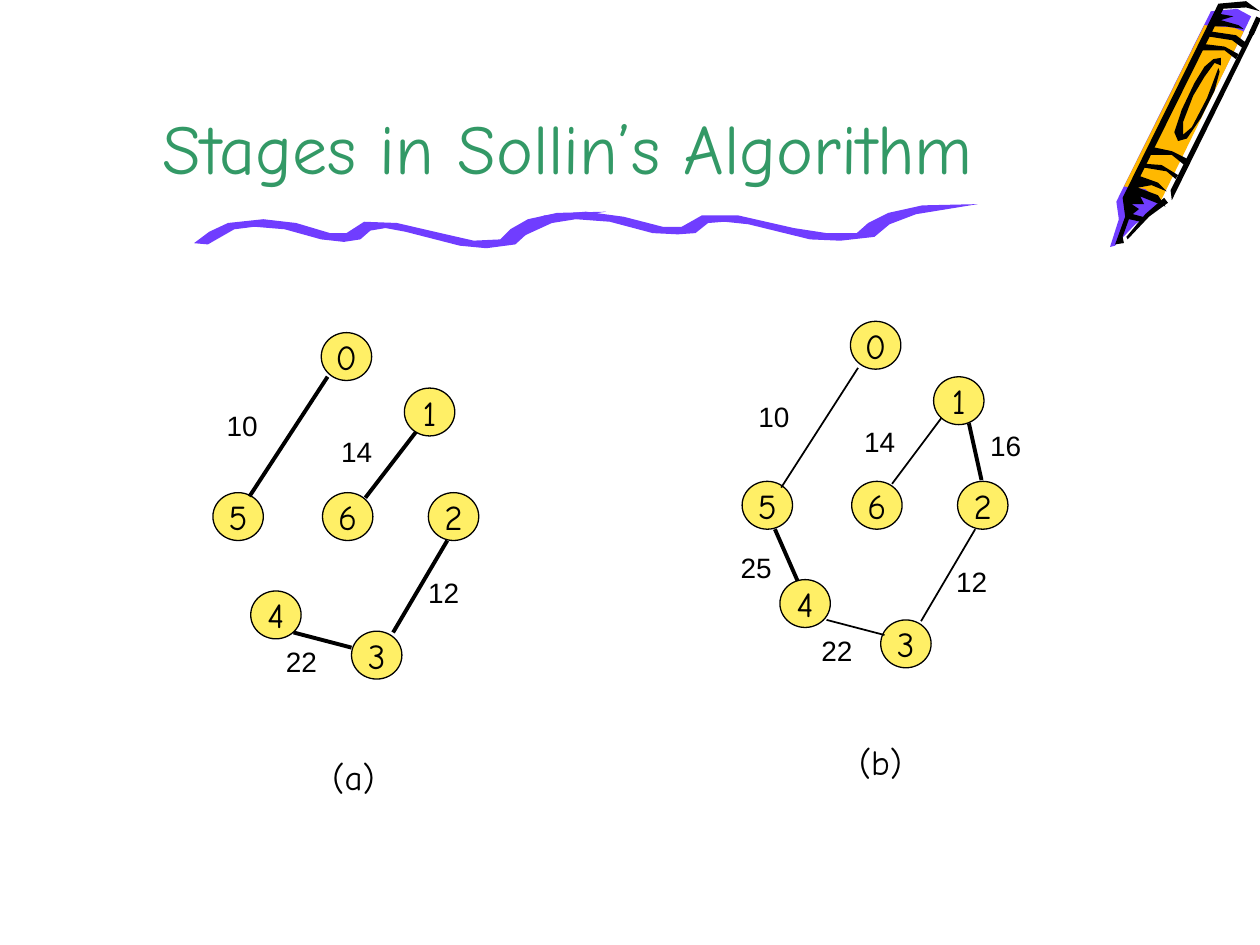
"""Build the slide on the stages of Sollin's algorithm."""
from dataclasses import dataclass

from lxml import etree
from pptx import Presentation
from pptx.dml.color import RGBColor
from pptx.enum.shapes import MSO_CONNECTOR, MSO_SHAPE
from pptx.enum.text import MSO_ANCHOR, MSO_AUTO_SIZE, PP_ALIGN
from pptx.oxml.ns import qn
from pptx.util import Inches, Pt

STRAIGHT = MSO_CONNECTOR.STRAIGHT
OVAL = MSO_SHAPE.OVAL
BOTTOM, MIDDLE, TOP = MSO_ANCHOR.BOTTOM, MSO_ANCHOR.MIDDLE, MSO_ANCHOR.TOP
CENTER, LEFT = PP_ALIGN.CENTER, PP_ALIGN.LEFT
NO_FIT = MSO_AUTO_SIZE.NONE
COLUMNS, ROWS = 100, 75


@dataclass(frozen=True)
class Theme:
    """Colours, fonts and sizes of the slide."""
    ink: str = "000000"
    title: str = "339966"
    violet: str = "703DFF"
    amber: str = "FFB800"
    node: str = "FFEF66"
    hand: str = "Comic Neue"
    plain: str = "Arial"
    title_size: float = 40
    node_size: float = 20
    weight_size: float = 16
    outline: float = 0.75
    thin: float = 1
    bold: float = 2.25
    crayon: float = 3


class Board:
    """Draws elements on one slide, measured in grid columns and rows."""

    def __init__(self, prs, theme):
        """Add a title-only slide to the presentation."""
        self.theme = theme
        self.slide = prs.slides.add_slide(prs.slide_layouts[5])
        self.shapes = self.slide.shapes
        self.col = prs.slide_width / COLUMNS
        self.row = prs.slide_height / ROWS

    def emu(self, x, y):
        """Turn a grid position into slide units."""
        return round(x * self.col), round(y * self.row)

    def set_text(self, sp, text, font, size, color, align=LEFT, anchor=TOP, wrap=True):
        """Put one formatted paragraph into a shape."""
        tf = sp.text_frame
        tf.auto_size = NO_FIT
        tf.word_wrap = wrap
        tf.vertical_anchor = anchor
        p = tf.paragraphs[0]
        p.text = text
        p.alignment = align
        p.font.name, p.font.size = font, Pt(size)
        p.font.color.rgb = RGBColor.from_string(color)

    def title(self, text, x, y, w, h):
        """Place and fill the title placeholder."""
        t, sp = self.theme, self.shapes.title
        sp.left, sp.top = self.emu(x, y)
        sp.width, sp.height = self.emu(w, h)
        self.set_text(sp, text, t.hand, t.title_size, t.title, CENTER, BOTTOM)

    def outline(self, points, color):
        """Draw a filled polygon."""
        start, *rest = [self.emu(*point) for point in points]
        builder = self.shapes.build_freeform(*start, scale=1.0)
        builder.add_line_segments(rest, close=True)
        sp = builder.convert_to_shape()
        sp.shadow.inherit = False
        sp.fill.solid()
        sp.fill.fore_color.rgb = RGBColor.from_string(color)
        sp.line.fill.background()

    def line(self, start, end, width):
        """Draw a straight line."""
        cx = self.shapes.add_connector(STRAIGHT, *self.emu(*start), *self.emu(*end))
        cx.line.width = Pt(width)
        cx.line.color.rgb = RGBColor.from_string(self.theme.ink)
        etree.SubElement(cx._element.spPr, qn("a:effectLst"))

    def node(self, text, x, y):
        """Draw a numbered vertex."""
        t = self.theme
        sp = self.shapes.add_shape(OVAL, *self.emu(x, y), *self.emu(4, 3.8))
        sp.shadow.inherit = False
        sp.fill.solid()
        sp.fill.fore_color.rgb = RGBColor.from_string(t.node)
        sp.line.color.rgb = RGBColor.from_string(t.ink)
        sp.line.width = Pt(t.outline)
        self.set_text(sp, text, t.hand, t.node_size, t.ink, CENTER, MIDDLE, False)

    def label(self, text, x, y, w, h, font, size):
        """Add a text box."""
        sp = self.shapes.add_textbox(*self.emu(x, y), *self.emu(w, h))
        self.set_text(sp, text, font, size, self.theme.ink)

    def stage(self, stage):
        """Draw one stage: edges, vertices, weights and caption."""
        t = self.theme
        x0, y0 = stage["origin"]
        for number, (dx, dy) in enumerate(NODES):
            self.node(str(number), x0 + dx, y0 + dy)
        for weight, start, end, (x, y), chosen in stage["edges"]:
            self.line(start, end, t.bold if chosen else t.thin)
            self.label(weight, x, y, 5.4, 3.7, t.plain, t.weight_size)
        self.label(stage["caption"], *stage["caption_at"], 6.5, 4.4, t.hand, t.node_size)


NODES = [(0, 0), (6.6, 4.4), (8.5, 12.7), (2.4, 23.7), (-5.6, 20.5), (-8.6, 12.7), (0.1, 12.7)]

STAGES = [
    {"origin": (25.5, 26.4), "caption": "(a)", "caption_at": (25.4, 59.5), "edges": [
        ("10", (26, 29.9), (19.8, 39.4), (17, 31.9), True),
        ("14", (33, 34.3), (29, 39.5), (26.1, 34), True),
        ("22", (23.3, 50.2), (27.9, 51.4), (21.7, 50.7), True),
        ("12", (35.5, 42.9), (31.2, 50.2), (33, 45.2), True)]},
    {"origin": (67.5, 25.5), "caption": "(b)", "caption_at": (67.2, 58.3), "edges": [
        ("10", (68.1, 29.2), (62, 38.7), (59.2, 31.2), False),
        ("25", (61.5, 42), (63.3, 46.1), (57.8, 43.2), True),
        ("22", (65.6, 49.2), (70.2, 50.4), (64.2, 49.8), False),
        ("12", (77.4, 42), (73.1, 49.3), (74.9, 44.3), False),
        ("16", (76.9, 33.6), (77.9, 38.1), (77.6, 33.5), True),
        ("14", (74.7, 33.2), (70.8, 38.4), (67.6, 33.2), False)]},
]

CRAYON_BODY = [(99.3, 1.3), (91.7, 16.6), (90.1, 17.8), (88.5, 19.5), (88.1, 19.6),
               (88.8, 17.4), (88.6, 16), (96.1, 0.9), (98.2, 0.7)]
CRAYON_WRAP = [(92.1, 16), (90.9, 15), (89.2, 14.8), (95.6, 2), (97.9, 2.2), (98.7, 2.5)]
CRAYON_INK = [
    [(92.7, 16.1), (91.2, 17.2), (89.5, 19), (89.4, 18.8), (90.9, 17), (92.4, 15.7)],
    [(98.7, 2.3), (97.3, 2.1), (96.1, 2.1), (96.8, 1.1), (97.9, 1.3), (96.9, 1.6), (98.3, 2)],
    [(96.8, 5.7), (96.4, 7.2), (95.3, 9.4), (94.2, 11), (93.5, 11.2), (93.2, 10.5), (93.8, 8.7),
     (94.8, 6.6), (95.6, 5.3), (96.3, 4.7), (96.9, 4.6), (96.9, 5.2), (96.4, 5), (95.6, 6.1),
     (94.7, 7.6), (93.9, 9.7), (93.9, 10.7), (94.6, 10.1), (95.8, 7.8), (96.7, 5.4)],
    [(99.7, 2.3), (93, 15.9), (92.9, 15.1), (99.3, 2.3)],
    [(92.5, 16.4), (91.9, 15.5), (90.3, 14.9), (91.4, 14.7), (92.6, 15.2), (91.9, 14.5),
     (90.5, 14), (97.1, 0.7), (98.9, 0.6), (100, 0.9), (98.9, 0.1), (96.7, 0.3), (89.1, 15.7),
     (89.3, 17.2), (88.5, 19.4), (89.2, 19.3), (89.1, 18.8), (89.6, 17.4), (90.5, 17.6),
     (91, 17.3), (89.9, 17), (90.4, 16.6), (89.8, 16.2), (90.8, 16.2), (90.5, 15.6)],
    [(93.3, 14.2), (92.6, 13.6), (90.8, 13.3), (90.9, 13), (92.2, 13.1), (93.5, 13.9)],
    [(94, 13.1), (93, 12.3), (91.3, 12.3), (91.6, 11.7), (93, 12), (94.2, 12.6)],
    [(98.1, 4.7), (97.2, 4), (95.3, 4), (95.6, 3.5), (97.2, 3.7), (98.3, 4.3)],
    [(98.6, 3.8), (97.8, 3.2), (95.9, 2.9), (96.1, 2.5), (98.1, 2.8), (98.9, 3.4)],
]
SQUIGGLES = [
    [(16.5, 19.4), (18.6, 18.2), (20.2, 18), (22.6, 18.2), (25.5, 19), (27.3, 19.2), (28.6, 19),
     (29.4, 18.3), (30.6, 18.1), (32.2, 18.4), (36.5, 19.5), (38.6, 19.7), (40.9, 19.4),
     (42, 18.4), (43.8, 17.5), (48.1, 16.8), (44.2, 16.9), (41.9, 17.4), (40.5, 18.2),
     (39.7, 19), (37.6, 19.1), (35.4, 18.6), (31.5, 17.7), (28.9, 17.6), (27.5, 18.5),
     (26.2, 18.5), (23.5, 17.7), (20.9, 17.4), (18.1, 17.7), (16.6, 18.4), (15.4, 19.3)],
    [(41.4, 18.8), (43.8, 17.7), (45.7, 17.4), (48.4, 17.6), (51.8, 18.5), (53.8, 18.6),
     (55.2, 18.5), (56.2, 17.7), (57.5, 17.6), (59.4, 17.8), (64.3, 19), (66.7, 19.1),
     (69.4, 18.8), (70.6, 17.8), (72.7, 17), (77.6, 16.2), (73.2, 16.3), (70.5, 16.9),
     (68.9, 17.7), (68, 18.5), (65.6, 18.5), (63, 18.1), (58.6, 17.1), (55.7, 17.1), (54.1, 18),
     (52.6, 18), (49.5, 17.2), (46.5, 16.8), (43.2, 17.1), (41.5, 17.8), (40.1, 18.8)],
]


def main():
    """Build and save the presentation."""
    prs = Presentation()
    prs.slide_width, prs.slide_height = Inches(10), Inches(7.5)
    theme = Theme()
    board = Board(prs, theme)
    board.outline(CRAYON_BODY, theme.violet)
    board.outline(CRAYON_WRAP, theme.amber)
    for points in CRAYON_INK:
        board.outline(points, theme.ink)
    board.line((99.9, 1.4), (99.3, 2.7), theme.crayon)
    for points in SQUIGGLES:
        board.outline(points, theme.violet)
    board.title("Stages in Sollin’s Algorithm", 7.5, 0, 75.1, 15.5)
    for stage in STAGES:
        board.stage(stage)
    prs.save("out.pptx")


if __name__ == "__main__":
    main()
